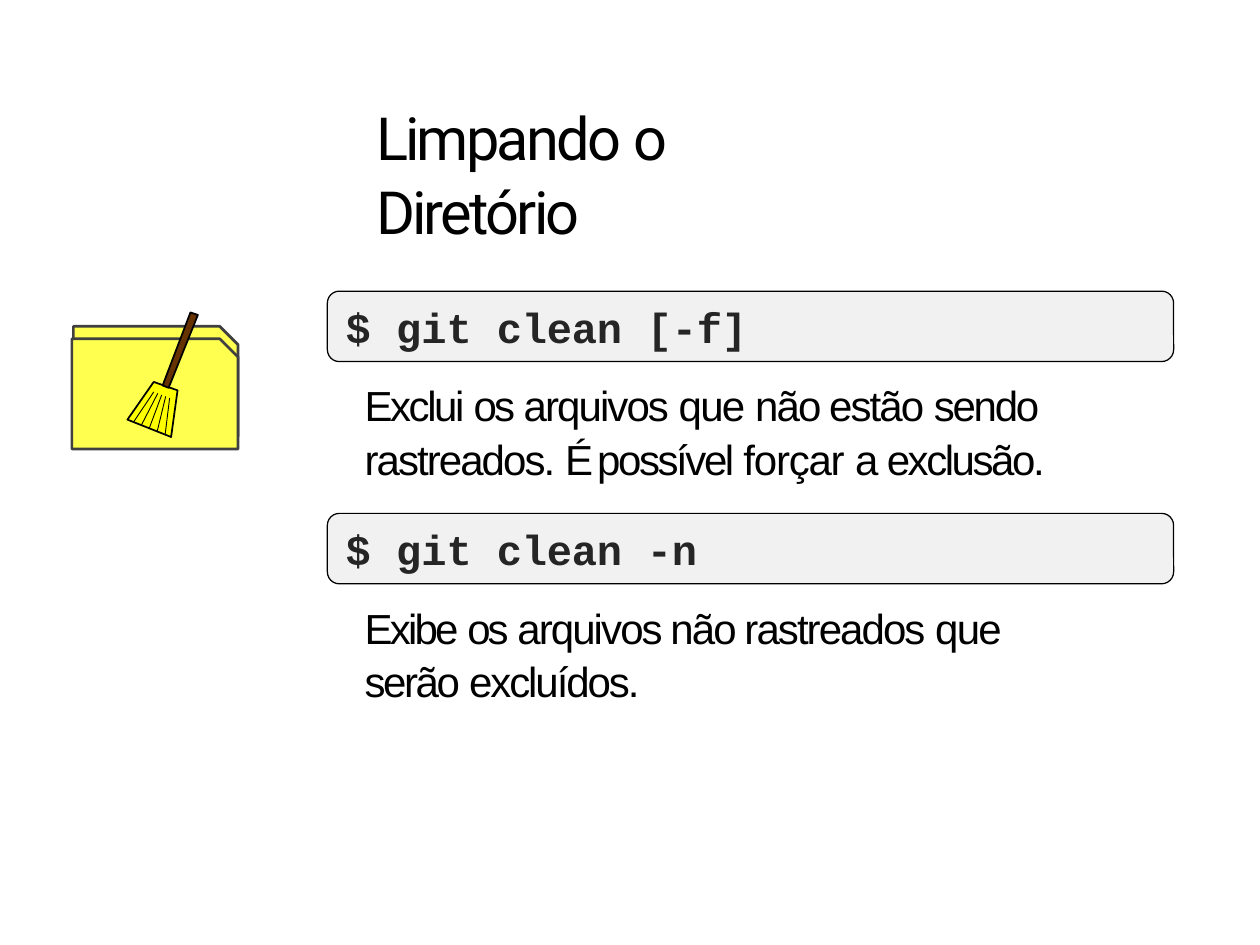
from lxml.etree import SubElement
from pptx import Presentation
from pptx.dml.color import RGBColor
from pptx.enum.shapes import MSO_CONNECTOR, MSO_SHAPE
from pptx.enum.text import MSO_ANCHOR, MSO_AUTO_SIZE, PP_ALIGN
from pptx.oxml.ns import qn
from pptx.util import Cm, Pt

BLACK = "000000"
FOLDER = "FFFF50"
COMMANDS = [
    ([("$ git ", 0), ("clean [-f]", -0.1)],
     [("Exclui ", -1.4), ("os ", -1.7), ("arquivos ", -1.1), ("que ", -1),
      ("não estão ", -1.1), ("sendo ", -1.3), ("rastreados. ", -1.1),
      ("É ", -4.3), ("possível ", -1.4), ("forçar ", -0.7), ("a ", -1.9),
      ("exclusão.", -1.4)]),
    ([("$ git ", 0), ("clean -n", -0.1)],
     [("Exibe ", -1.6), ("os ", -1.7), ("arquivos não rastreados ", -1.1),
      ("que ", -1), ("serão ", -1.4), ("excluídos.", -1.2)]),
]


def rgb(value):
    return RGBColor.from_string(value)


def style(sp, fill, line, width):
    sp.shadow.inherit = False
    sp.fill.solid()
    sp.fill.fore_color.rgb = rgb(fill)
    sp.line.color.rgb = rgb(line)
    sp.line.width = Pt(width)


def write(tf, runs, font, size, color, bold=False, spacing=1.0,
          anchor=MSO_ANCHOR.TOP, inset=0):
    """Fill a frame with one paragraph of (text, letter spacing in points) runs."""
    tf.word_wrap = True
    tf.auto_size = MSO_AUTO_SIZE.NONE
    tf.vertical_anchor = anchor
    tf.margin_left = Cm(inset)
    tf.margin_top = tf.margin_right = tf.margin_bottom = 0
    p = tf.paragraphs[0]
    p.alignment = PP_ALIGN.LEFT
    p.line_spacing = spacing
    for text, tracking in runs:
        r = p.add_run()
        r.text = text
        r.font.name = font
        r.font.size = Pt(size)
        r.font.bold = bold
        r.font.color.rgb = rgb(color)
        r._r.get_or_add_rPr().set("spc", str(round(tracking * 100)))


def add_title(s):
    sp = s.shapes.title
    sp.left, sp.top, sp.width, sp.height = Cm(7.58), Cm(2), Cm(9.5), Cm(3.8)
    runs = [("Limpando ", -1.6), ("o ", -0.6), ("Diretório", -1.6)]
    write(sp.text_frame, runs, "Roboto", 34, BLACK, spacing=1.03)


def add_command(s, top, command, description):
    sp = s.shapes.add_shape(MSO_SHAPE.ROUNDED_RECTANGLE,
                            Cm(6.6), Cm(top), Cm(17.06), Cm(1.42))
    sp.adjustments[0] = 0.17
    style(sp, "F1F1F1", BLACK, 0.72)
    write(sp.text_frame, command, "Courier New", 24, "252525", bold=True,
          anchor=MSO_ANCHOR.MIDDLE, inset=0.3)
    box = s.shapes.add_textbox(Cm(7.35), Cm(top + 1.73), Cm(14.5), Cm(2.1))
    write(box.text_frame, description, "Arial", 24, BLACK, spacing=1.06)


def add_polygon(s, points, fill, line, width):
    points = [(Cm(x), Cm(y)) for x, y in points]
    builder = s.shapes.build_freeform(*points[0], scale=1.0)
    builder.add_line_segments(points[1:], close=True)
    style(builder.convert_to_shape(), fill, line, width)


def add_folder_panel(s, left, top):
    right, bottom, cut = 4.8, top + 2.22, 0.37
    points = [(left, top), (right - cut, top), (right, top + cut),
              (right, bottom), (left, bottom)]
    add_polygon(s, points, FOLDER, "404040", 1.56)


def add_line(s, x1, y1, x2, y2):
    line = s.shapes.add_connector(MSO_CONNECTOR.STRAIGHT,
                                  Cm(x1), Cm(y1), Cm(x2), Cm(y2))
    line.line.color.rgb = rgb(BLACK)
    line.line.width = Pt(0.5)
    SubElement(line._element.spPr, qn("a:effectLst"))


def add_broom(s):
    head = [(3.1, 7.7), (2.57, 8.46), (3.45, 8.81), (3.58, 7.87)]
    handle = [(3.84, 6.3), (3.99, 6.35), (3.4, 7.82), (3.28, 7.77)]
    add_polygon(s, head, "FFFF00", BLACK, 1)
    add_polygon(s, handle, "663300", BLACK, 1)
    for i in range(5):
        add_line(s, 2.69 + 0.16 * i, 8.51 + 0.06 * i,
                 3.1 + 0.08 * i, 7.9 + 0.03 * i)


def main():
    prs = Presentation()
    prs.slide_width, prs.slide_height = Cm(25.4), Cm(19.05)
    s = prs.slides.add_slide(prs.slide_layouts[5])
    add_title(s)
    for i, (command, description) in enumerate(COMMANDS):
        add_command(s, 5.87 + 4.48 * i, command, description)
    add_folder_panel(s, 1.48, 6.58)
    add_folder_panel(s, 1.45, 6.83)
    add_broom(s)
    prs.save("out.pptx")


if __name__ == "__main__":
    main()
